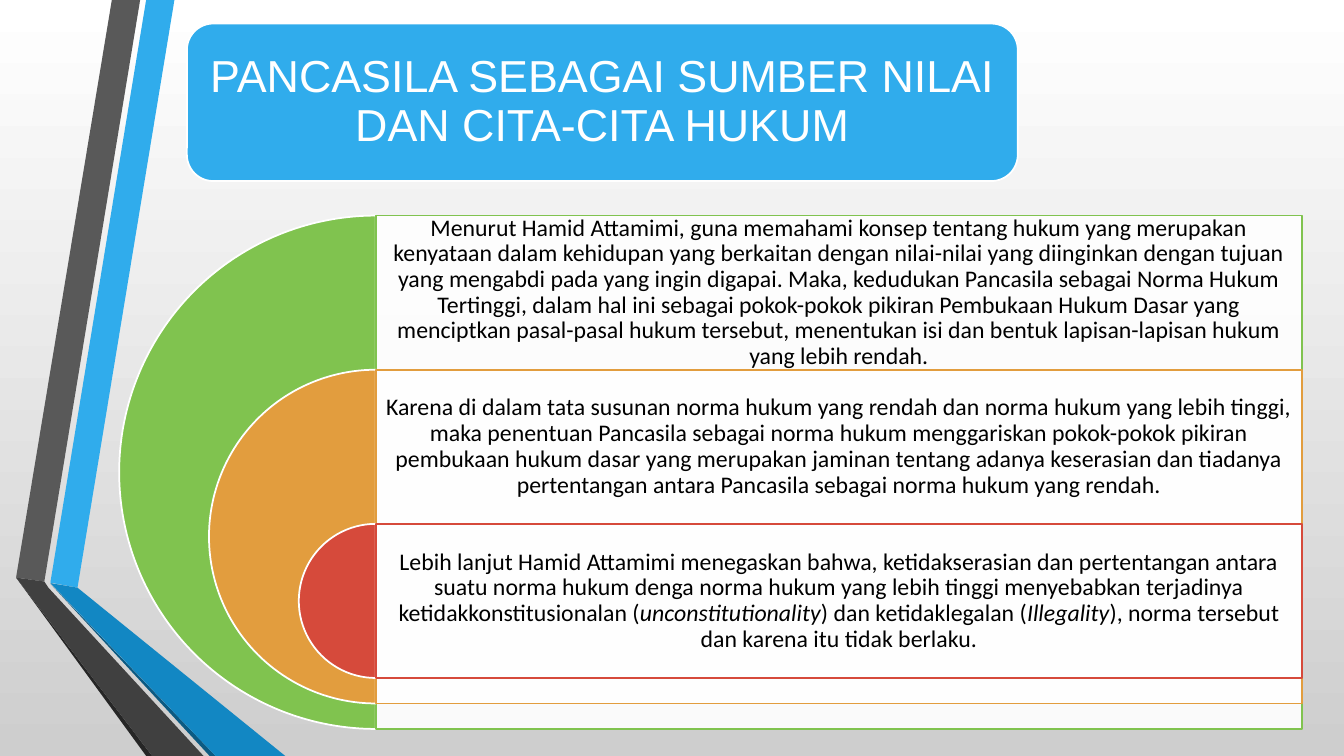
from lxml.etree import SubElement
from pptx import Presentation
from pptx.dml.color import RGBColor
from pptx.enum.shapes import MSO_SHAPE as Preset
from pptx.enum.text import MSO_ANCHOR as Anchor, MSO_AUTO_SIZE as AutoSize, PP_ALIGN as Align
from pptx.oxml.ns import qn
from pptx.util import Pt

rgb = RGBColor.from_string


def paint(shape, fill, line=None):
    shape.shadow.inherit = False
    shape.fill.solid()
    shape.fill.fore_color.rgb = rgb(fill)
    if line:
        shape.line.color.rgb = rgb(line)
        shape.line.width = Pt(1.25)
    else:
        shape.line.fill.background()


def write(holder, text, size, font, color, inset):
    frame = holder.text_frame
    frame.word_wrap = True
    frame.auto_size = AutoSize.NONE
    frame.vertical_anchor = Anchor.MIDDLE
    frame.margin_left = frame.margin_right = Pt(inset)
    frame.margin_top = frame.margin_bottom = Pt(inset)
    paragraph = frame.paragraphs[0]
    paragraph.alignment = Align.CENTER
    paragraph.line_spacing = 0.9
    for position, part in enumerate(text.split("*")):
        run = paragraph.add_run()
        run.text = part
        run.font.size = Pt(size)
        run.font.name = font
        run.font.color.rgb = rgb(color)
        run.font.italic = position % 2 == 1


deck = Presentation()
deck.slide_width, deck.slide_height = Pt(960), Pt(540)
slide = deck.slides.add_slide(deck.slide_layouts[5])
shapes = slide.shapes

backdrop = slide.background.fill
backdrop.gradient()
backdrop.gradient_angle = 270
for stop, shade, place in zip(backdrop.gradient_stops, ("FFFFFF", "CECECE"), (0, 1)):
    stop.color.rgb = rgb(shade)
    stop.position = place

ribbons = [
    ("30ACEC", [(36, 416.2), (55.4, 419.8), (124.6, 0), (104.4, 0)]),
    ("595959", [(100.1, 0), (79.9, 0), (11.5, 412.6), (31.7, 415.4)]),
    ("262626", [(11.5, 412.6), (104.4, 540), (108.7, 540)]),
    ("0C5A82", [(36, 416.9), (149.8, 540), (154.1, 540)]),
    ("1287C3", [(36, 416.5), (154.1, 540), (203.8, 540), (55.4, 419.8)]),
    ("404040", [(145.4, 540), (34.6, 419.8), (31.7, 415.4), (11.5, 412.6), (108.7, 540)]),
]
for color, corners in ribbons:
    start, *rest = [(Pt(x), Pt(y)) for x, y in corners]
    outline = shapes.build_freeform(*start)
    outline.add_line_segments(rest)
    paint(outline.convert_to_shape(), color)

banner_box = Pt(133.5), Pt(16.8), Pt(593.5), Pt(112.5)
banner = shapes.add_shape(Preset.ROUNDED_RECTANGLE, *banner_box)
paint(banner, "30ACEC", "FFFFFF")
heading = shapes.title
heading.left, heading.top, heading.width, heading.height = banner_box
write(heading, "PANCASILA SEBAGAI SUMBER NILAI DAN CITA-CITA HUKUM",
      size=32, font="Arial", color="FFFFFF", inset=9.6)
banner.element.addnext(heading.element)

arguments = [
    ("80C34F", "Menurut Hamid Attamimi, guna memahami konsep tentang hukum yang merupakan "
     "kenyataan dalam kehidupan yang berkaitan dengan nilai-nilai yang diinginkan dengan tujuan "
     "yang mengabdi pada yang ingin digapai. Maka, kedudukan Pancasila sebagai Norma Hukum "
     "Tertinggi, dalam hal ini sebagai pokok-pokok pikiran Pembukaan Hukum Dasar yang "
     "menciptkan pasal-pasal hukum tersebut, menentukan isi dan bentuk lapisan-lapisan hukum "
     "yang lebih rendah."),
    ("E29D3E", "Karena di dalam tata susunan norma hukum yang rendah dan norma hukum yang lebih "
     "tinggi, maka penentuan Pancasila sebagai norma hukum menggariskan pokok-pokok pikiran "
     "pembukaan hukum dasar yang merupakan jaminan tentang adanya keserasian dan tiadanya "
     "pertentangan antara Pancasila sebagai norma hukum yang rendah."),
    ("D64A3B", "Lebih lanjut Hamid Attamimi menegaskan bahwa, ketidakserasian dan pertentangan "
     "antara suatu norma hukum denga norma hukum yang lebih tinggi menyebabkan terjadinya "
     "ketidakkonstitusionalan (*unconstitutionality*) dan ketidaklegalan (*Illegality*), norma "
     "tersebut dan karena itu tidak berlaku."),
]
axis, panel_width, band = 268.5, 661.5, 110.1
for level, (color, argument) in enumerate(arguments):
    top = 154 + level * band
    diameter = 366.7 - level * 128.3
    half_disc = shapes.add_shape(Preset.PIE, Pt(axis - diameter / 2), Pt(top),
                                 Pt(diameter), Pt(diameter))
    half_disc.adjustments[0], half_disc.adjustments[1] = 54, 162
    paint(half_disc, color, "FFFFFF")
    panel = shapes.add_shape(Preset.RECTANGLE, Pt(axis), Pt(top), Pt(panel_width), Pt(diameter))
    paint(panel, "FFFFFF", color)
    tint = panel.element.spPr.find(qn("a:solidFill"))[0]
    SubElement(tint, qn("a:alpha"), val="90000")
    passage = shapes.add_textbox(Pt(axis), Pt(top), Pt(panel_width), Pt(band))
    write(passage, argument, size=17, font="Calibri", color="000000", inset=5)

deck.save("out.pptx")
